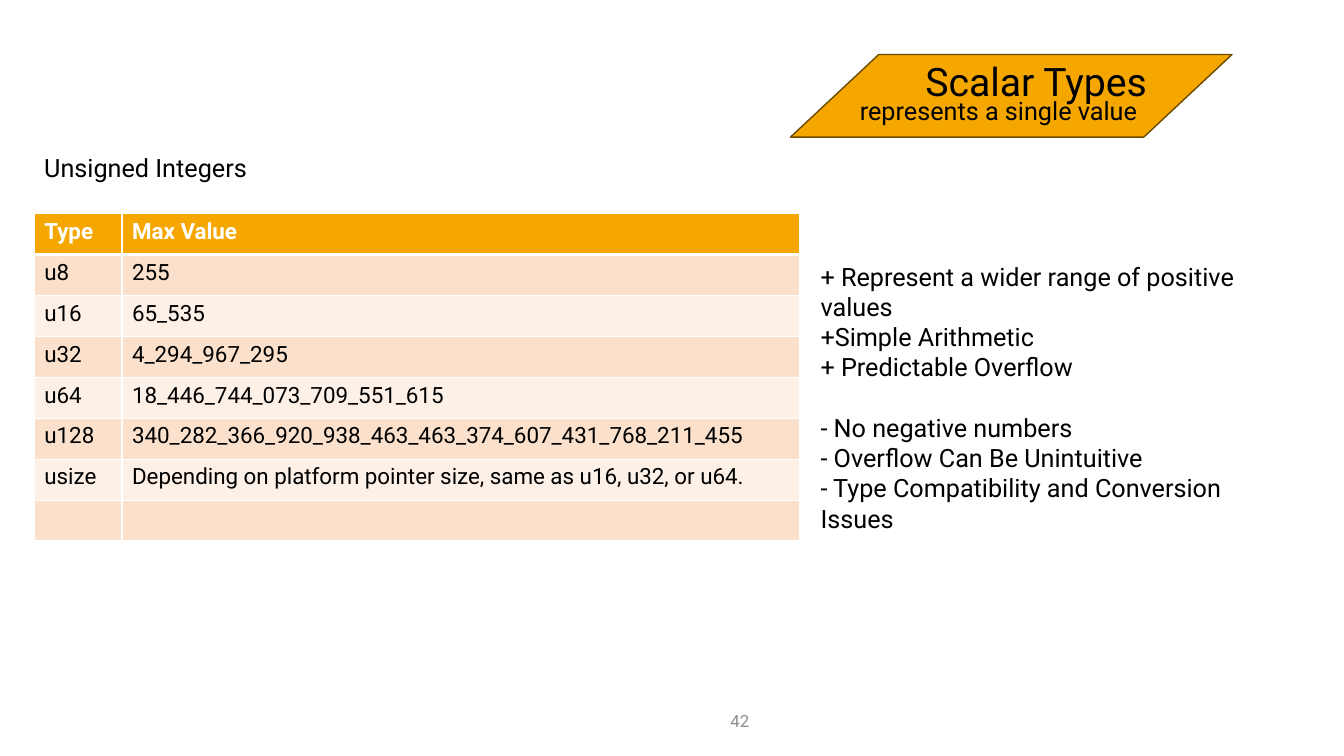
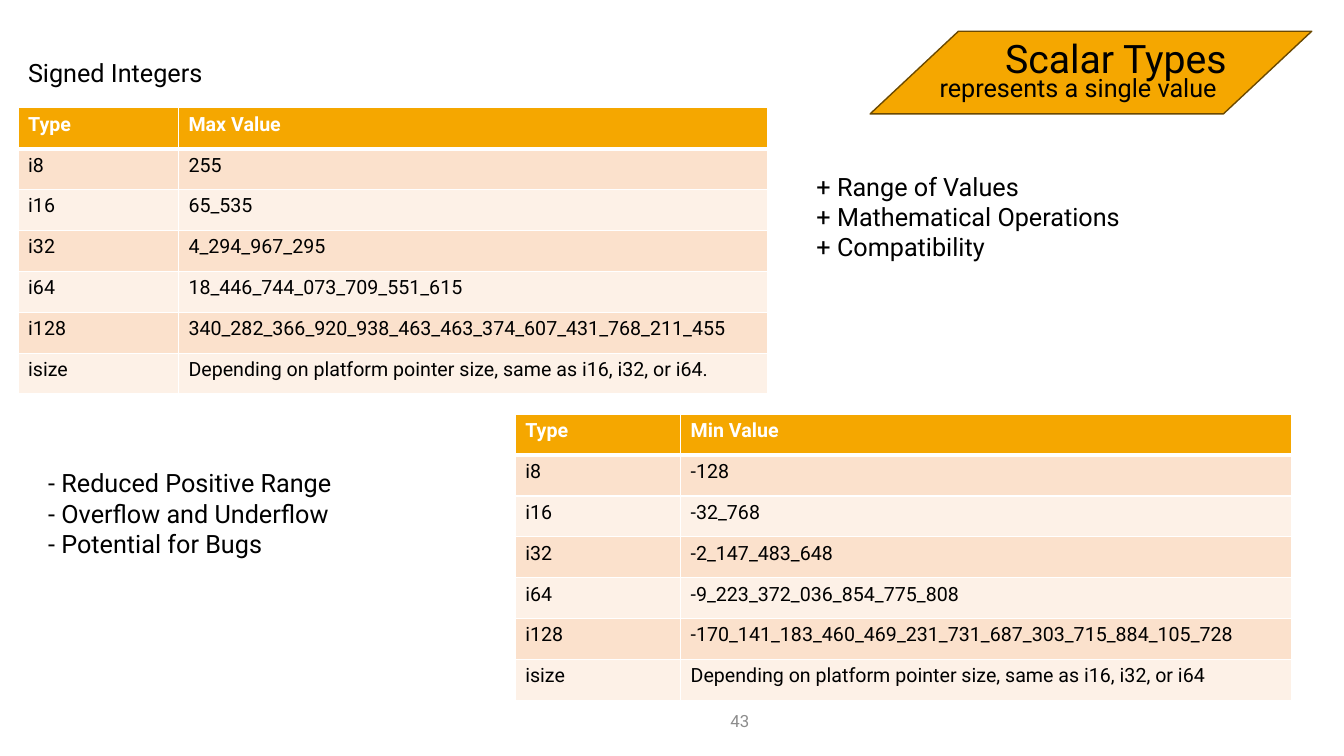
"""Build two slides on the unsigned and signed integer scalar types."""
import pptx
import pptx.dml.color
import pptx.enum.shapes
import pptx.enum.text
import pptx.oxml
import pptx.oxml.ns
import pptx.util

Inches = pptx.util.Inches
Pt = pptx.util.Pt

THEME = {
    "font": "Roboto",
    "accent": "F5A700",
    "outline": "6B4900",
    "text": "000000",
    "inverse": "FFFFFF",
    "muted": "8C8C8C",
    "bands": ("FBE1CC", "FDF1E7"),
    "title": 28,
    "body": 18,
    "footer": 12,
    "rule": 1,
    "header_rule": 3,
}

TITLE = "Scalar Types"
SUBTITLE = "represents a single value"
UNSIGNED_MAX = [
    "255",
    "65_535",
    "4_294_967_295",
    "18_446_744_073_709_551_615",
    "340_282_366_920_938_463_463_374_607_431_768_211_455",
]
SIGNED_MIN = [
    "-128",
    "-32_768",
    "-2_147_483_648",
    "-9_223_372_036_854_775_808",
    "-170_141_183_460_469_231_731_687_303_715_884_105_728",
]
SIGNED_TYPES = ["i8", "i16", "i32", "i64", "i128", "isize"]
SIGNED_SIZE = "Depending on platform pointer size, same as i16, i32, or i64"

SLIDES = [
    {
        "number": "42",
        "banner": (7.84, 0.54),
        "tables": [
            {
                "box": (0.34, 2.12, 7.59, 3.25),
                "first_column": 0.87,
                "size": 16,
                "header": ("Type", "Max Value"),
                "types": ["u8", "u16", "u32", "u64", "u128", "usize", ""],
                "values": UNSIGNED_MAX
                + ["Depending on platform pointer size, same as u16, u32, or u64.", ""],
            },
        ],
        "texts": [
            {
                "box": (8.04, 2.54, 4.67, 2.83),
                "groups": [
                    [
                        "+ Represent a wider range of positive values",
                        "+Simple Arithmetic",
                        "+ Predictable Overflow",
                    ],
                    [
                        "- No negative numbers",
                        "- Overflow Can Be Unintuitive",
                        "- Type Compatibility and Conversion Issues",
                    ],
                ],
            },
            {"box": (0.34, 1.46, 3.22, 0.4), "groups": [["Unsigned Integers"]]},
        ],
    },
    {
        "number": "43",
        "banner": (8.63, 0.31),
        "tables": [
            {
                "box": (0.18, 1.07, 7.43, 2.84),
                "first_column": 1.59,
                "size": 14,
                "header": ("Type", "Max Value"),
                "types": SIGNED_TYPES,
                "values": UNSIGNED_MAX + [SIGNED_SIZE + "."],
            },
            {
                "box": (5.11, 4.11, 7.7, 2.84),
                "first_column": 1.64,
                "size": 14,
                "header": ("Type", "Min Value"),
                "types": SIGNED_TYPES,
                "values": SIGNED_MIN + [SIGNED_SIZE],
            },
        ],
        "texts": [
            {
                "box": (8, 1.65, 4.67, 1.01),
                "groups": [
                    ["+ Range of Values", "+ Mathematical Operations", "+ Compatibility"]
                ],
            },
            {
                "box": (0.38, 4.59, 4.5, 1.01),
                "groups": [
                    [
                        "- Reduced Positive Range",
                        "- Overflow and Underflow",
                        "- Potential for Bugs",
                    ]
                ],
            },
            {"box": (0.18, 0.52, 2.46, 0.4), "groups": [["Signed Integers"]]},
        ],
    },
]


def color(name):
    return pptx.dml.color.RGBColor.from_string(name)


def add_run(paragraph, text, size, ink=THEME["text"], bold=False):
    run = paragraph.add_run()
    run.text = text
    run.font.name = THEME["font"]
    run.font.size = Pt(size)
    run.font.bold = bold
    run.font.color.rgb = color(ink)


def add_text(slide, box, groups, size=THEME["body"], ink=THEME["text"], wrap=True):
    frame = slide.shapes.add_textbox(*map(Inches, box)).text_frame
    frame.word_wrap = wrap
    for group_index, group in enumerate(groups):
        for line_index, line in enumerate(group):
            first = group_index == line_index == 0
            paragraph = frame.paragraphs[0] if first else frame.add_paragraph()
            if group_index and not line_index:
                paragraph.space_before = Pt(1.2 * size)
            add_run(paragraph, line, size, ink)
    return frame


def add_banner(slide, left, top):
    banner = slide.shapes.add_shape(
        pptx.enum.shapes.MSO_SHAPE.FLOWCHART_DATA,
        *map(Inches, (left, top, 4.38, 0.82)),
    )
    banner.shadow.inherit = False
    banner.fill.solid()
    banner.fill.fore_color.rgb = color(THEME["accent"])
    banner.line.color.rgb = color(THEME["outline"])
    banner.line.width = Pt(1)
    add_text(slide, (left + 1.24, top - 0.02, 2.59, 0.57), [[TITLE]], THEME["title"])
    add_text(slide, (left + 0.59, top + 0.36, 3.04, 0.4), [[SUBTITLE]], wrap=False)


def add_borders(cell, top, bottom):
    properties = cell._tc.get_or_add_tcPr()
    widths = {"L": THEME["rule"], "R": THEME["rule"], "T": top, "B": bottom}
    for side, width in widths.items():
        properties.append(
            pptx.oxml.parse_xml(
                f'<a:ln{side} {pptx.oxml.ns.nsdecls("a")} w="{Pt(width)}">'
                f'<a:solidFill><a:srgbClr val="{THEME["inverse"]}"/></a:solidFill>'
                f"</a:ln{side}>"
            )
        )


def add_type_table(slide, content):
    rows = [content["header"], *zip(content["types"], content["values"])]
    left, top, width, height = content["box"]
    table = slide.shapes.add_table(
        len(rows), 2, *map(Inches, (left, top, width, height))
    ).table
    table.horz_banding = False
    table.columns[0].width = Inches(content["first_column"])
    table.columns[1].width = Inches(width - content["first_column"])
    for row_index, row in enumerate(rows):
        header = row_index == 0
        fill = THEME["accent"] if header else THEME["bands"][(row_index - 1) % 2]
        ink = THEME["inverse"] if header else THEME["text"]
        top_rule = THEME["header_rule"] if row_index == 1 else THEME["rule"]
        bottom_rule = THEME["header_rule"] if header else THEME["rule"]
        for column_index, text in enumerate(row):
            cell = table.cell(row_index, column_index)
            add_borders(cell, top_rule, bottom_rule)
            cell.fill.solid()
            cell.fill.fore_color.rgb = color(fill)
            if text:
                paragraph = cell.text_frame.paragraphs[0]
                add_run(paragraph, text, content["size"], ink, header)


def add_page_number(slide, number):
    frame = add_text(
        slide, (6.13, 6.95, 1.4, 0.4), [[number]], THEME["footer"], THEME["muted"]
    )
    frame.vertical_anchor = pptx.enum.text.MSO_ANCHOR.MIDDLE
    frame.paragraphs[0].alignment = pptx.enum.text.PP_ALIGN.RIGHT


def main():
    presentation = pptx.Presentation()
    presentation.slide_width = Inches(13.33)
    presentation.slide_height = Inches(7.5)
    for content in SLIDES:
        slide = presentation.slides.add_slide(presentation.slide_layouts[6])
        add_page_number(slide, content["number"])
        add_banner(slide, *content["banner"])
        for table in content["tables"]:
            add_type_table(slide, table)
        for text in content["texts"]:
            add_text(slide, text["box"], text["groups"])
    presentation.save("out.pptx")


if __name__ == "__main__":
    main()
